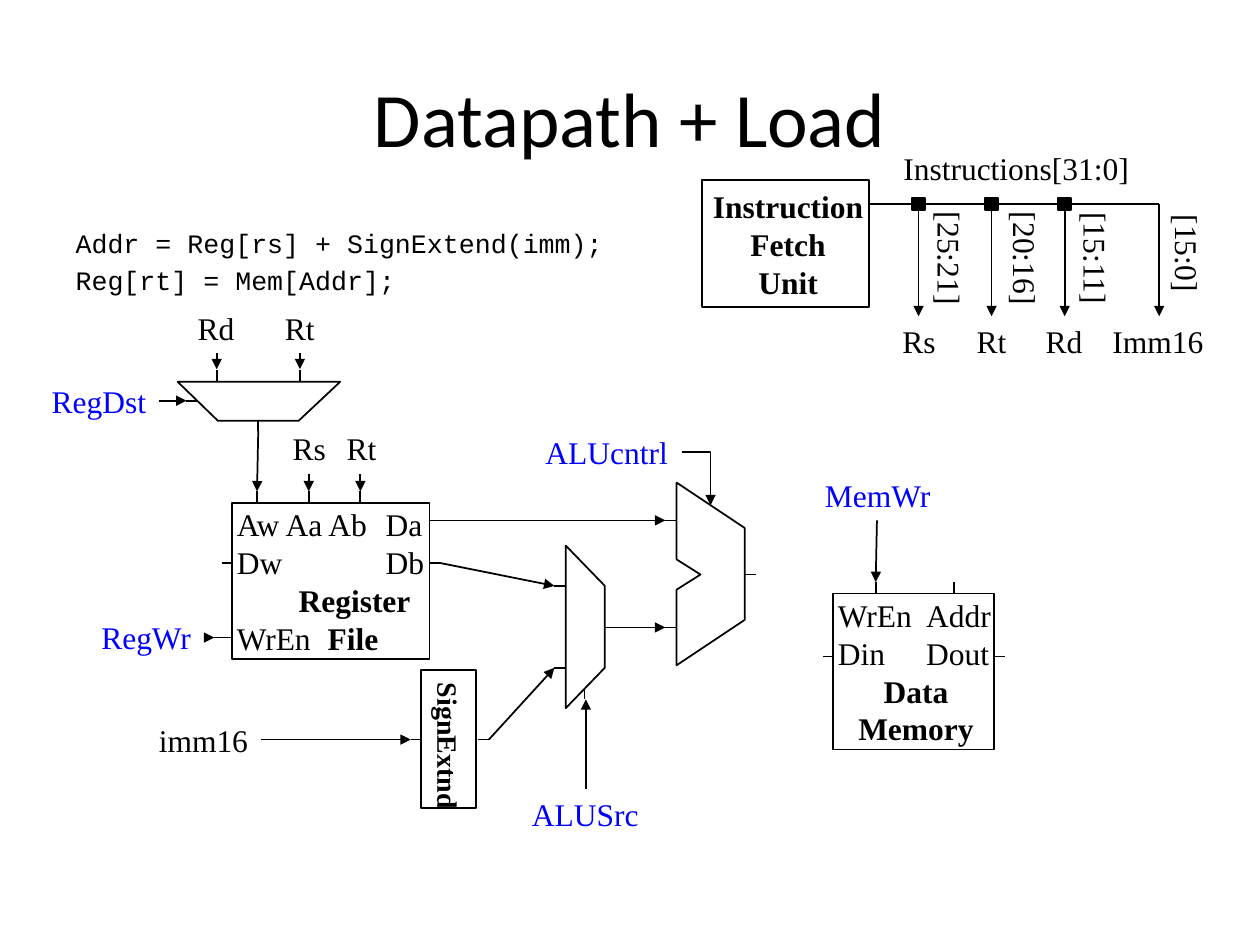
"""Build the datapath slide for the load instruction."""
from pptx import Presentation
from pptx.dml.color import RGBColor
from pptx.enum.shapes import MSO_CONNECTOR, MSO_SHAPE
from pptx.enum.text import MSO_ANCHOR, MSO_AUTO_SIZE, PP_ALIGN
from pptx.oxml.ns import qn
from pptx.oxml.xmlchemy import OxmlElement
from pptx.util import Inches, Pt

BLACK, WHITE, BLUE = "000000", "FFFFFF", "0000FF"
SERIF = "Times New Roman"
STUB, LABEL_HEIGHT, DOT = 0.09, 0.4, 0.1

TITLE = "Datapath + Load"
CODE = ["Addr = Reg[rs] + SignExtend(imm);", "Reg[rt] = Mem[Addr];"]

POLYGONS = {
    "ALU": [(5.37, 3.83), (5.91, 4.19), (5.91, 4.92), (5.37, 5.28),
            (5.37, 4.68), (5.56, 4.56), (5.37, 4.44)],
    "ALU source selector": [(4.49, 4.33), (4.8, 4.65), (4.8, 5.3), (4.49, 5.62)],
    "Destination selector": [(1.41, 3.03), (1.73, 3.34), (2.37, 3.34), (2.7, 3.03)],
}

# Each line of a block: spans of (text, bold), tab stop, left indent, centred
BLOCKS = {
    "Sign extender": ((3.34, 5.32, 0.44, 1.09), 16, [
        ([("SignExtnd", True)], 0, 0, True)]),
    "Data memory": ((6.61, 4.71, 1.28, 1.24), 18, [
        ([("WrEn\tAddr", False)], 0.7, 0, False),
        ([("Din\tDout", False)], 0.7, 0, False),
        ([("Data", True)], 0, 0, True),
        ([("Memory", True)], 0, 0, True)]),
    "Instruction fetch": ((5.57, 1.43, 1.33, 1.01), 18, [
        ([(word, True)], 0, 0, True) for word in ("Instruction", "Fetch", "Unit")]),
    "Register file": ((1.84, 3.99, 1.57, 1.24), 18, [
        ([("Aw Aa Ab\tDa", False)], 1.18, 0, False),
        ([("Dw\tDb", False)], 1.18, 0, False),
        ([("Register", True)], 0, 0.49, False),
        ([("WrEn\t", False), ("File", True)], 0.72, 0, False)]),
}

LABELS = [
    ("Rs", 2.22, 3.36, 0.47, BLACK), ("Rt", 2.65, 3.36, 0.44, BLACK),
    ("Rd", 1.47, 2.4, 0.49, BLACK), ("Rt", 2.16, 2.4, 0.44, BLACK),
    ("imm16", 1.16, 5.67, 0.91, BLACK), ("Instructions[31:0]", 7.07, 1.13, 1.99, BLACK),
    ("ALUSrc", 4.12, 6.26, 1.05, BLUE), ("ALUcntrl", 4.23, 3.39, 1.17, BLUE),
    ("RegWr", 0.7, 4.86, 0.92, BLUE), ("MemWr", 6.44, 3.73, 1.05, BLUE),
    ("RegDst", 0.31, 2.98, 0.95, BLUE),
]

BUS_START, BUS_TOP, BUS_JOINT, BUS_END, FIELD_TOP = 6.99, 1.62, 9.06, 9.2, 2.51
# Field name, left, width; bit range, left, top, width; tap position, dotted
FIELDS = [
    (("Rs", 7.06, 0.47), ("[25:21]", 7.07, 1.85, 0.94), 7.29, True),
    (("Rt", 7.65, 0.44), ("[20:16]", 7.67, 1.85, 0.94), 7.87, True),
    (("Rd", 8.2, 0.49), ("[15:11]", 8.23, 1.85, 0.94), 8.45, True),
    (("Imm16", 8.73, 0.92), ("[15:0]", 9.02, 1.81, 0.81), BUS_END, False),
]

SIDE_STUBS = [
    (5.91, 4.56), (5.28, 4.13), (5.28, 4.98), (4.8, 4.98), (4.4, 4.65),
    (4.4, 5.3), (3.26, 5.87), (3.79, 5.87), (7.89, 5.21), (6.53, 5.21),
    (6.9, 1.62), (1.76, 4.47), (3.41, 4.47), (3.41, 4.13), (1.48, 3.18),
]
UPRIGHT_STUBS = [
    (4.64, 5.46), (6.95, 4.62), (7.57, 4.62), (2.04, 3.9), (2.45, 3.9),
    (2.86, 3.9), (2.05, 3.33), (2.38, 2.94), (1.72, 2.94),
]
ARROWS = [
    (3.88, 5.87, 4.4, 5.3), (4.89, 4.98, 5.28, 4.98), (2.07, 5.87, 3.26, 5.87),
    (3.5, 4.47, 4.4, 4.65), (2.45, 3.76, 2.45, 3.9), (2.86, 3.76, 2.86, 3.9),
    (3.5, 4.13, 5.28, 4.13), (4.65, 6.26, 4.65, 5.55), (1.62, 5.06, 1.7, 5.06),
    (6.96, 4.13, 6.95, 4.62), (2.05, 3.42, 2.04, 3.9), (1.26, 3.18, 1.48, 3.18),
    (1.72, 2.8, 1.72, 2.93), (2.38, 2.8, 2.38, 2.93),
]
CONTROL_BEND = (5.41, 3.59, 5.64, 4.01)


def color(value):
    return RGBColor.from_string(value)


def inches(values):
    return [Inches(value) for value in values]


def style_span(span, size, font=SERIF, ink=BLACK, bold=False):
    span.font.size, span.font.name, span.font.bold = Pt(size), font, bold
    span.font.color.rgb = color(ink)


def paint(shape, fill=WHITE):
    shape.shadow.inherit = False
    shape.fill.solid()
    shape.fill.fore_color.rgb = color(fill)
    shape.line.color.rgb = color(BLACK)
    shape.line.width = Pt(1)


def add_line(page, ends, arrow=False, bent=False):
    kind = MSO_CONNECTOR.ELBOW if bent else MSO_CONNECTOR.STRAIGHT
    line = page.shapes.add_connector(kind, *inches(ends))
    line.line.color.rgb = color(BLACK)
    line.line.width = Pt(1)
    properties = line.element.spPr
    if bent:
        properties.find(qn("a:prstGeom")).set("prst", "bentConnector2")
    if arrow:
        tail = OxmlElement("a:tailEnd")
        tail.set("type", "triangle")
        properties.find(qn("a:ln")).append(tail)
    properties.append(OxmlElement("a:effectLst"))


def add_label(page, text, left, top, width, ink=BLACK, rotation=0):
    box = page.shapes.add_textbox(*inches((left, top, width, LABEL_HEIGHT)))
    box.rotation = rotation
    box.text_frame.word_wrap = False
    box.text_frame.auto_size = MSO_AUTO_SIZE.SHAPE_TO_FIT_TEXT
    box.text_frame.text = text
    para = box.text_frame.paragraphs[0]
    para.alignment = PP_ALIGN.CENTER
    style_span(para.runs[0], 18, ink=ink)


def add_block(page, name, place, size, lines):
    block = page.shapes.add_shape(MSO_SHAPE.RECTANGLE, *inches(place))
    paint(block)
    frame = block.text_frame
    frame.vertical_anchor = MSO_ANCHOR.MIDDLE
    frame.margin_left, frame.margin_right = inches((0.04, 0))
    frame.word_wrap = any(not centred for *rest, centred in lines)
    if name == "Sign extender":
        frame.margin_left = frame.margin_right = Inches(0.1)
        frame.margin_top, frame.margin_bottom = Inches(0.1), 0
        block.element.txBody.find(qn("a:bodyPr")).set("vert", "eaVert")
    for index, (spans, stop, indent, centred) in enumerate(lines):
        para = frame.add_paragraph() if index else frame.paragraphs[0]
        para.alignment = PP_ALIGN.CENTER if centred else PP_ALIGN.LEFT
        for text, bold in spans:
            span = para.add_run()
            span.text = text
            style_span(span, size, bold=bold)
        properties = para._p.get_or_add_pPr()
        if indent:
            properties.set("marL", str(Inches(indent)))
        if stop:
            tabs, tab = OxmlElement("a:tabLst"), OxmlElement("a:tab")
            tab.set("pos", str(Inches(stop)))
            tab.set("algn", "l")
            tabs.append(tab)
            properties.append(tabs)


def fill_placeholder(shape, place, lines, size, font):
    shape.left, shape.top, shape.width, shape.height = inches(place)
    shape.text_frame.text = "\n".join(lines)
    shape.text_frame.auto_size = MSO_AUTO_SIZE.NONE
    for para in shape.text_frame.paragraphs:
        style_span(para.runs[0], size, font)


def add_bus(page):
    start = BUS_START
    for (name, left, width), bits, tap, dotted in FIELDS:
        reach = DOT / 2 if dotted else 0
        if dotted:
            corner = (tap - reach, BUS_TOP - reach, DOT, DOT)
            paint(page.shapes.add_shape(MSO_SHAPE.RECTANGLE, *inches(corner)), BLACK)
            add_line(page, (start, BUS_TOP, tap - reach, BUS_TOP))
            start = tap + reach
        add_line(page, (tap, BUS_TOP + reach, tap, FIELD_TOP), arrow=True)
        add_label(page, name, left, FIELD_TOP, width)
        add_label(page, *bits, rotation=90)
    add_line(page, (start, BUS_TOP, BUS_JOINT, BUS_TOP))
    add_line(page, (BUS_JOINT, BUS_TOP, BUS_END, BUS_TOP))


def main():
    deck = Presentation()
    deck.slide_width, deck.slide_height = inches((10, 7.5))
    page = deck.slides.add_slide(deck.slide_layouts[1])
    title, body = page.placeholders
    fill_placeholder(title, (0.5, 0.3, 9, 1.25), [TITLE], 44, "Calibri")
    fill_placeholder(body, (0.5, 1.75, 4.67, 0.58), CODE, 15.2, "Courier New")
    for para in body.text_frame.paragraphs:
        para._p.get_or_add_pPr().append(OxmlElement("a:buNone"))
    for points in POLYGONS.values():
        start, *rest = [tuple(inches(point)) for point in points]
        builder = page.shapes.build_freeform(*start)
        builder.add_line_segments(rest, close=True)
        paint(builder.convert_to_shape())
    for name, (place, size, lines) in BLOCKS.items():
        add_block(page, name, place, size, lines)
    for x, y in SIDE_STUBS:
        add_line(page, (x, y, x + STUB, y))
    for x, y in UPRIGHT_STUBS:
        add_line(page, (x, y, x, y + STUB))
    add_line(page, (1.7, 5.06, 1.84, 5.06))
    for ends in ARROWS:
        add_line(page, ends, arrow=True)
    add_line(page, CONTROL_BEND, arrow=True, bent=True)
    add_bus(page)
    for label in LABELS:
        add_label(page, *label)
    deck.save("out.pptx")


if __name__ == "__main__":
    main()
